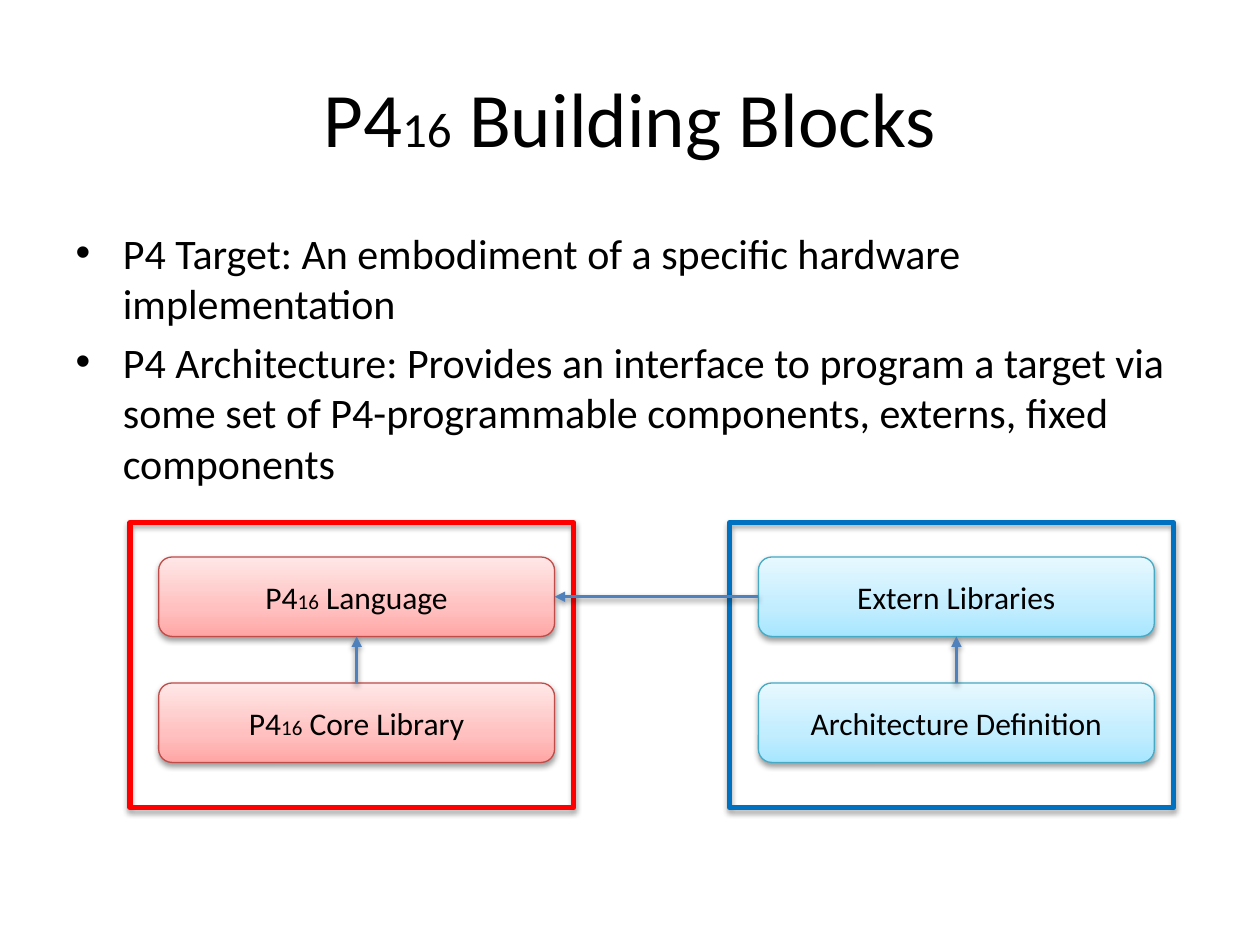
from lxml import etree
from pptx import Presentation
from pptx.dml.color import RGBColor
from pptx.enum.shapes import MSO_CONNECTOR, MSO_SHAPE
from pptx.enum.text import MSO_ANCHOR, PP_ALIGN
from pptx.oxml.ns import qn
from pptx.util import Cm, Pt

RECTANGLE, ROUNDED = MSO_SHAPE.RECTANGLE, MSO_SHAPE.ROUNDED_RECTANGLE
STRAIGHT = MSO_CONNECTOR.STRAIGHT
CENTER, MIDDLE = PP_ALIGN.CENTER, MSO_ANCHOR.MIDDLE
TOP, LEFT, BOTTOM, RIGHT = range(4)

BLACK = RGBColor(0x00, 0x00, 0x00)
RED = RGBColor(0xFF, 0x00, 0x00)
BLUE = RGBColor(0x00, 0x70, 0xC0)
ARROW_BLUE = RGBColor(0x4F, 0x81, 0xBD)
RED_EDGE = RGBColor(0xBF, 0x4C, 0x48)
CYAN_EDGE = RGBColor(0x46, 0xAA, 0xC5)
RED_SHADES = (RGBColor(0xFF, 0xA6, 0xA5), RGBColor(0xFF, 0xC0, 0xBF),
              RGBColor(0xFF, 0xE7, 0xE7))
CYAN_SHADES = (RGBColor(0xA7, 0xE6, 0xFF), RGBColor(0xC1, 0xED, 0xFF),
               RGBColor(0xE7, 0xF8, 0xFF))
STOPS = (0, 35, 100)

# Group geometry in centimetres
FRAME_TOP, FRAME_WIDTH, FRAME_HEIGHT = 10.54, 8.95, 5.74
BOX_INDENT, BOX_DROP, BOX_WIDTH, BOX_HEIGHT = 0.58, 0.69, 7.98, 1.6
ROW_PITCH = 2.54

# Left edge, frame colour, box edge, box shades, box texts (text, size)
GROUPS = (
    (2.62, RED, RED_EDGE, RED_SHADES,
     ((("P4", 18), ("16", 12), (" Language", 18)),
      (("P4", 18), ("16", 12), (" Core Library", 18)))),
    (14.71, BLUE, CYAN_EDGE, CYAN_SHADES,
     ((("Extern Libraries", 18),),
      (("Architecture Definition", 18),))),
)
TITLE = (("P4", 44), ("16", 28), (" Building Blocks", 44))
POINTS = (
    "P4 Target: An embodiment of a specific hardware implementation",
    "P4 Architecture: Provides an interface to program a target via some set "
    "of P4-programmable components, externs, fixed components",
)


def write_spans(para, spans):
    for text, size in spans:
        span = para.add_run()
        span.text = text
        span.font.color.rgb = BLACK
        for name, value in {"name": "Calibri", "size": Pt(size)}.items():
            setattr(span.font, name, value)


def place(shape, left, top, width, height):
    bounds = {"left": left, "top": top, "width": width, "height": height}
    for name, value in bounds.items():
        setattr(shape, name, Cm(value))


def add_color(parent, color):
    return etree.SubElement(parent, qn("a:srgbClr"), val=str(color))


def set_line(shape, color, width):
    shape.line.color.rgb = color
    shape.line.width = Pt(width)


def add_shadow(shape, opacity, distance):
    effects = etree.SubElement(shape._element.spPr, qn("a:effectLst"))
    shadow = etree.SubElement(
        effects, qn("a:outerShdw"), blurRad=str(Pt(3.15)),
        dist=str(Pt(distance)), dir="5400000", rotWithShape="0")
    etree.SubElement(add_color(shadow, BLACK), qn("a:alpha"),
                     val=str(opacity * 1000))


def fill_gradient(shape, shades):
    shape.fill.gradient()
    shape.fill.gradient_angle = 90
    stop_list = shape._element.spPr.find(".//" + qn("a:gsLst"))
    for stop in list(stop_list):
        stop_list.remove(stop)
    for position, color in zip(STOPS, shades):
        stop = etree.SubElement(stop_list, qn("a:gs"), pos=str(position * 1000))
        add_color(stop, color)


def add_frame(page, left, color):
    frame = page.shapes.add_shape(RECTANGLE, Cm(left), Cm(FRAME_TOP),
                                  Cm(FRAME_WIDTH), Cm(FRAME_HEIGHT))
    frame.fill.background()
    set_line(frame, color, 3)
    add_shadow(frame, 35, 1.8)


def add_box(page, left, top, edge, shades, spans):
    box = page.shapes.add_shape(ROUNDED, Cm(left), Cm(top),
                                Cm(BOX_WIDTH), Cm(BOX_HEIGHT))
    fill_gradient(box, shades)
    set_line(box, edge, 0.75)
    add_shadow(box, 38, 1.6)
    box.text_frame.vertical_anchor = MIDDLE
    para = box.text_frame.paragraphs[0]
    para.alignment = CENTER
    write_spans(para, spans)
    return box


def add_group(page, left, color, edge, shades, labels):
    add_frame(page, left, color)
    first_top = FRAME_TOP + BOX_DROP
    return [add_box(page, left + BOX_INDENT, first_top + row * ROW_PITCH,
                    edge, shades, spans)
            for row, spans in enumerate(labels)]


def add_arrow(page, start, start_side, end, end_side):
    arrow = page.shapes.add_connector(STRAIGHT, 0, 0, 0, 0)
    arrow.begin_connect(start, start_side)
    arrow.end_connect(end, end_side)
    set_line(arrow, ARROW_BLUE, 2)
    etree.SubElement(arrow.line._get_or_add_ln(), qn("a:tailEnd"),
                     type="triangle")
    add_shadow(arrow, 38, 1.6)


def main():
    deck = Presentation()
    deck.slide_width, deck.slide_height = Cm(25.4), Cm(19.05)
    page = deck.slides.add_slide(deck.slide_layouts[1])

    # Title and bullet list
    title, body = page.placeholders
    place(title, 1.27, 0.76, 22.86, 3.18)
    write_spans(title.text_frame.paragraphs[0], TITLE)
    place(body, 1.27, 4.45, 22.86, 5.08)
    for index, point in enumerate(POINTS):
        frame = body.text_frame
        para = frame.add_paragraph() if index else frame.paragraphs[0]
        write_spans(para, ((point, 24),))

    # Framed building blocks
    (language, core), (externs, architecture) = [
        add_group(page, *group) for group in GROUPS]

    # Dependencies
    add_arrow(page, core, TOP, language, BOTTOM)
    add_arrow(page, architecture, TOP, externs, BOTTOM)
    add_arrow(page, externs, LEFT, language, RIGHT)

    deck.save("out.pptx")


if __name__ == "__main__":
    main()
